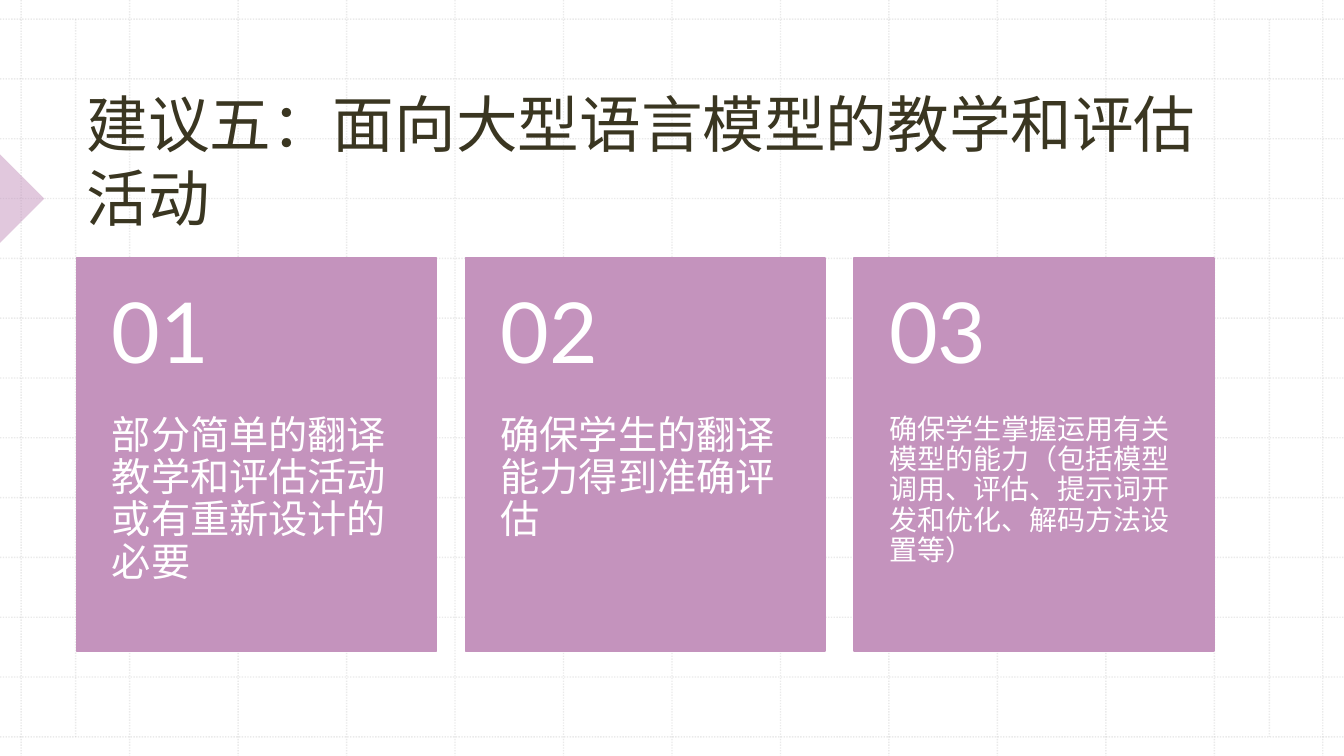
from dataclasses import dataclass

from lxml.etree import SubElement
from pptx import Presentation
from pptx.dml.color import RGBColor
from pptx.enum.dml import MSO_LINE
from pptx.enum.shapes import MSO_CONNECTOR, MSO_SHAPE
from pptx.enum.text import MSO_ANCHOR, PP_ALIGN
from pptx.oxml.ns import qn
from pptx.util import Inches, Pt


@dataclass(frozen=True)
class Theme:
    grid: str = "BCBCBC"
    accent: str = "C493BD"
    heading: str = "3A3621"
    on_accent: str = "FFFFFF"
    latin: str = "Lato"
    chinese: str = "Noto Sans CJK TC"
    title_size: int = 44
    number_size: int = 60
    body_size: int = 28
    small_body_size: int = 20


def set_opacity(properties, percent):
    color = next(properties.iter(qn("a:srgbClr")))
    SubElement(color, qn("a:alpha")).set("val", str(percent * 1000))


class SlideBuilder:
    def __init__(self, slide, theme):
        self.slide = slide
        self.theme = theme

    def grid_line(self, x1, y1, x2, y2):
        rule = self.slide.shapes.add_connector(
            MSO_CONNECTOR.STRAIGHT, Inches(x1), Inches(y1), Inches(x2), Inches(y2))
        rule.line.color.rgb = RGBColor.from_string(self.theme.grid)
        rule.line.width = Pt(1)
        rule.line.dash_style = MSO_LINE.ROUND_DOT
        properties = rule.line._get_or_add_ln()
        set_opacity(properties, 30)
        SubElement(properties.getparent(), qn("a:effectLst"))

    def block(self, preset, left, top, width, height, rotation=0, opacity=None):
        block = self.slide.shapes.add_shape(
            preset, Inches(left), Inches(top), Inches(width), Inches(height))
        block.shadow.inherit = False
        block.rotation = rotation
        accent = RGBColor.from_string(self.theme.accent)
        block.fill.solid()
        block.fill.fore_color.rgb = accent
        if opacity is None:
            block.line.color.rgb = accent
            block.line.width = Pt(1)
        else:
            block.line.fill.background()
            set_opacity(block._element.spPr, opacity)

    def text(self, words, left, top, width, height, size, color, font,
             spacing, anchor, insets):
        frame = self.slide.shapes.add_textbox(
            Inches(left), Inches(top), Inches(width), Inches(height)).text_frame
        frame_format = {"word_wrap": True, "vertical_anchor": anchor}
        for side, inset in zip(("left", "top", "right", "bottom"), insets):
            frame_format[f"margin_{side}"] = Inches(inset)
        paragraph = frame.paragraphs[0]
        run = paragraph.add_run()
        run.text = words
        formats = (
            (frame, frame_format),
            (paragraph, {"line_spacing": spacing, "alignment": PP_ALIGN.LEFT}),
            (run.font, {"size": Pt(size), "name": font}),
        )
        for target, values in formats:
            for name, value in values.items():
                setattr(target, name, value)
        run.font.color.rgb = RGBColor.from_string(color)
        SubElement(run._r.get_or_add_rPr(), qn("a:ea")).set("typeface", font)

    def card(self, left, number, body, body_size):
        theme = self.theme
        top, width, height, header = 2.56, 3.57, 3.9, 1.56
        self.block(MSO_SHAPE.RECTANGLE, left, top, width, height)
        self.text(body, left, top + header, width, height - header, body_size,
                  theme.on_accent, theme.chinese, 0.9, MSO_ANCHOR.TOP,
                  (0.35, 0, 0.35, 0.36))
        self.text(f"{number:02}", left, top, width, header, theme.number_size,
                  theme.on_accent, theme.latin, 0.9, MSO_ANCHOR.MIDDLE,
                  (0.35, 0.18, 0.35, 0.18))


def main():
    deck = Presentation()
    deck.slide_width, deck.slide_height = Inches(13.33), Inches(7.5)
    theme = Theme()
    page = SlideBuilder(deck.slides.add_slide(deck.slide_layouts[6]), theme)

    # Background grid: 13 even lines each way, plus two inner margins
    for step in range(13):
        x, y = 0.21 + step * 12.91 / 12, 0.19 + step * 7.12 / 12
        page.grid_line(x, 0, x, 7.5)
        page.grid_line(0, y, 13.33, y)
    for margin in (0.75, 12.59):
        page.grid_line(margin, 0.19, margin, 7.31)

    # Edge marker and title
    page.block(MSO_SHAPE.RIGHT_TRIANGLE, -0.31, 1.66, 0.62, 0.62,
               rotation=225, opacity=50)
    page.text("建议五：面向大型语言模型的教学和评估活动", 0.76, 0.79, 11.29, 1.58,
              theme.title_size, theme.heading, theme.chinese, 1.0,
              MSO_ANCHOR.BOTTOM, (0.1, 0.05, 0.1, 0.05))

    # Numbered recommendations
    recommendations = (
        ("部分简单的翻译教学和评估活动或有重新设计的必要", theme.body_size),
        ("确保学生的翻译能力得到准确评估", theme.body_size),
        ("确保学生掌握运用有关模型的能力（包括模型调用、评估、提示词开发和优化、解码方法设置等）",
         theme.small_body_size),
    )
    for index, (body, size) in enumerate(recommendations):
        page.card(0.76 + index * 3.855, index + 1, body, size)

    deck.save("out.pptx")


if __name__ == "__main__":
    main()
